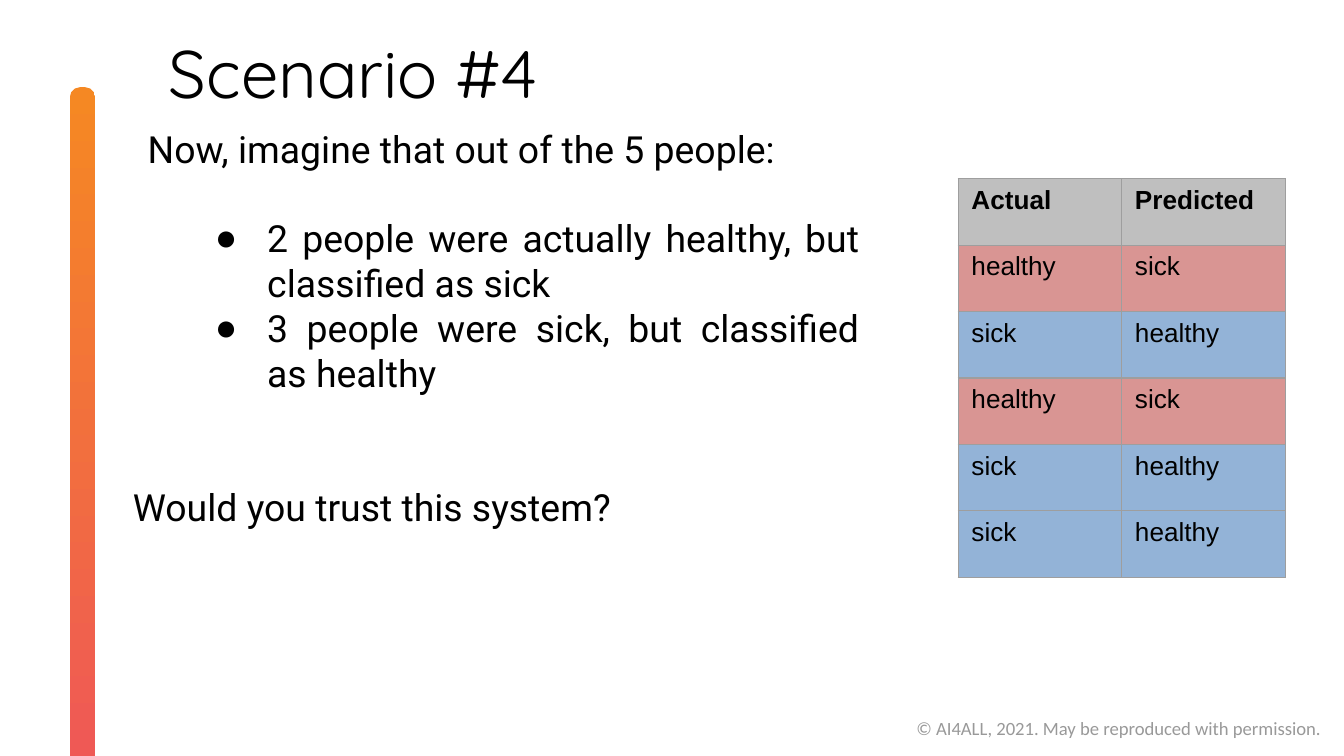
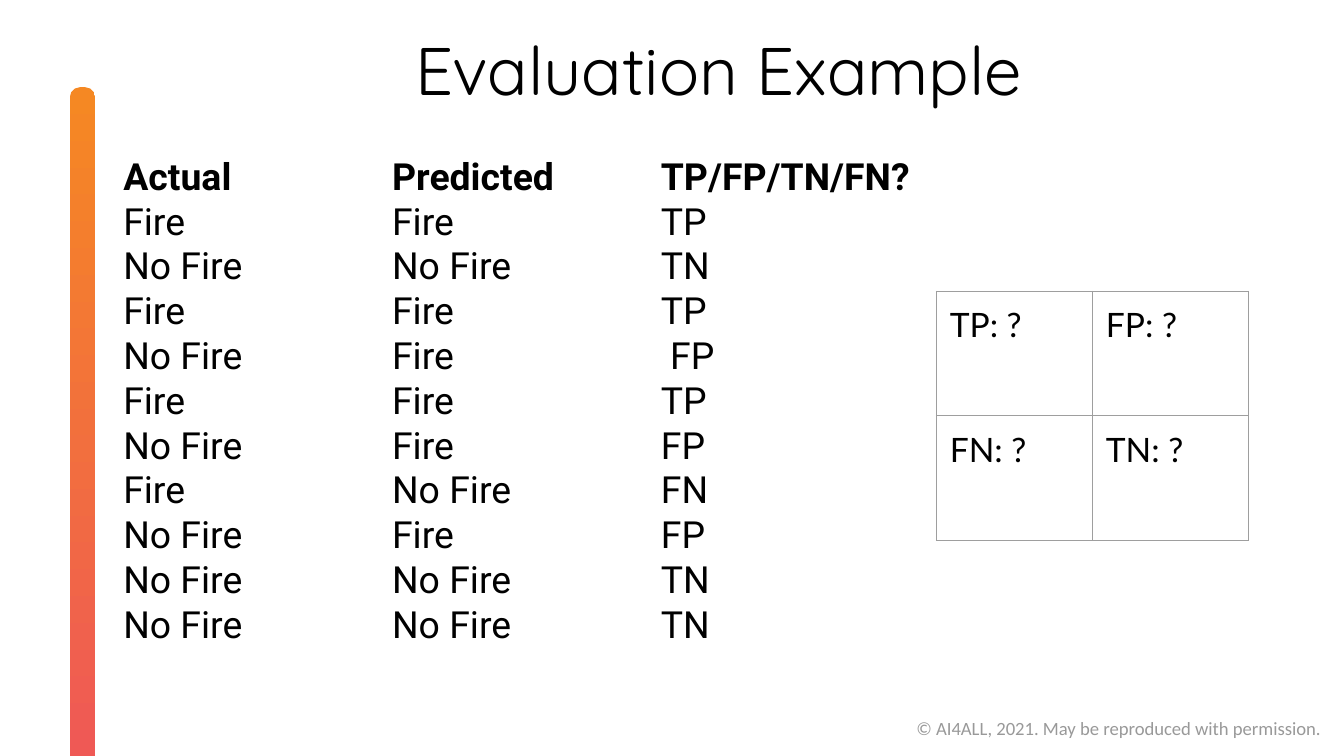
"""Builds two slides on judging a classifier: a scenario and an evaluation example."""
from dataclasses import dataclass

from lxml.etree import SubElement
from pptx import Presentation
from pptx.dml.color import RGBColor
from pptx.enum.shapes import MSO_SHAPE
from pptx.enum.text import MSO_AUTO_SIZE, MSO_ANCHOR, PP_ALIGN
from pptx.oxml import parse_xml
from pptx.oxml.ns import nsdecls, qn
from pptx.util import Cm, Pt

COLOURS = {
    "text": "000000",
    "footer": "999999",
    "band_start": "F58823",
    "band_end": "EF5757",
    "border": "9E9E9E",
    "header": "BFBFBF",
    "healthy": "D99593",
    "sick": "93B3D7",
}


@dataclass(frozen=True)
class Box:
    left: float
    top: float
    width: float
    height: float

    def lengths(self):
        return Cm(self.left), Cm(self.top), Cm(self.width), Cm(self.height)


@dataclass(frozen=True)
class TextStyle:
    font: str
    size: int
    colour: str = "text"


@dataclass(frozen=True)
class Line:
    text: str
    align: PP_ALIGN = PP_ALIGN.LEFT
    margin: float = 0
    indent: float = 0
    before: int = 0
    bullet: str = ""
    level: int = 0
    tab_step: float = 2.54
    bold: bool = False


@dataclass(frozen=True)
class Grid:
    box: Box
    rows: list
    style: TextStyle
    inset: float
    fills: tuple = ()
    header: bool = False


TITLE = TextStyle("Quicksand", 36)
BODY = TextStyle("Roboto", 20)
FOOTER = TextStyle("Calibri", 10, "footer")

SCENARIO_ROWS = [
    ("Actual", "Predicted"),
    ("healthy", "sick"),
    ("sick", "healthy"),
    ("healthy", "sick"),
    ("sick", "healthy"),
    ("sick", "healthy"),
]
EVALUATION_ROWS = [
    ("Actual", "Predicted", "TP/FP/TN/FN?"),
    ("Fire", "Fire", "TP"),
    ("No Fire", "No Fire", "TN"),
    ("Fire", "Fire", "TP"),
    ("No Fire", "Fire", " FP"),
    ("Fire", "Fire", "TP"),
    ("No Fire", "Fire", "FP"),
    ("Fire", "No Fire", "FN"),
    ("No Fire", "Fire", "FP"),
    ("No Fire", "No Fire", "TN"),
    ("No Fire", "No Fire", "TN"),
]


def rgb(name: str) -> RGBColor:
    return RGBColor.from_string(COLOURS[name])


def style_runs(p, style: TextStyle, bold: bool = False) -> None:
    for r in p.runs:
        r.font.name = style.font
        r.font.size = Pt(style.size)
        r.font.bold = bold
        r.font.color.rgb = rgb(style.colour)


def write_line(p, line: Line, style: TextStyle) -> None:
    p.text = line.text
    p.alignment = line.align
    p.level = line.level
    p.line_spacing = 1.0
    p.space_before = Pt(line.before)
    pPr = p._p.get_or_add_pPr()
    pPr.set("marL", str(Cm(line.margin)))
    pPr.set("indent", str(Cm(line.indent)))
    pPr.set("defTabSz", str(Cm(line.tab_step)))
    if line.bullet:
        SubElement(pPr, qn("a:buChar")).set("char", line.bullet)
    else:
        SubElement(pPr, qn("a:buNone"))
    style_runs(p, style, line.bold)


def fill_placeholder(sp, box: Box, lines: list, style: TextStyle) -> None:
    sp.left, sp.top, sp.width, sp.height = box.lengths()
    tf = sp.text_frame
    tf.word_wrap = True
    tf.auto_size = MSO_AUTO_SIZE.NONE
    tf.vertical_anchor = MSO_ANCHOR.TOP
    tf.margin_left = tf.margin_right = tf.margin_top = tf.margin_bottom = 0
    for i, line in enumerate(lines):
        write_line(tf.add_paragraph() if i else tf.paragraphs[0], line, style)


def add_border(tcPr) -> None:
    for i, side in enumerate(("lnL", "lnR", "lnT", "lnB")):
        tcPr.insert(i, parse_xml(
            f'<a:{side} {nsdecls("a")} w="{Pt(0.75)}"><a:solidFill>'
            f'<a:srgbClr val="{COLOURS["border"]}"/></a:solidFill></a:{side}>'))


def add_grid(slide, grid: Grid) -> None:
    n_rows, n_cols = len(grid.rows), len(grid.rows[0])
    table = slide.shapes.add_table(n_rows, n_cols, *grid.box.lengths()).table
    table.first_row = grid.header
    table.horz_banding = False
    for i, row in enumerate(grid.rows):
        for j, text in enumerate(row):
            cell = table.cell(i, j)
            cell.text = text
            cell.margin_left = cell.margin_right = Cm(0.25)
            cell.margin_top = cell.margin_bottom = Cm(grid.inset)
            style_runs(cell.text_frame.paragraphs[0], grid.style, grid.header and i == 0)
            if grid.fills:
                cell.fill.solid()
                cell.fill.fore_color.rgb = rgb(grid.fills[i])
            else:
                cell.fill.background()
            add_border(cell._tc.get_or_add_tcPr())


def add_footer(slide):
    sp = slide.shapes.add_textbox(*Box(17.07, 13.43, 8.23, 0.69).lengths())
    tf = sp.text_frame
    tf.text = "© AI4ALL, 2021. May be reproduced with permission."
    style_runs(tf.paragraphs[0], FOOTER)
    return sp


def add_band(slide):
    sp = slide.shapes.add_shape(
        MSO_SHAPE.ROUNDED_RECTANGLE, *Box(-5.02, 7.99, 13.16, 0.48).lengths())
    sp.rotation = 90
    sp.adjustments[0] = 0.39
    sp.shadow.inherit = False
    sp.line.fill.background()
    sp.fill.gradient()
    sp.fill.gradient_angle = 0
    for stop, name in zip(sp.fill.gradient_stops, ("band_start", "band_end")):
        stop.color.rgb = rgb(name)
    return sp


def share_on_layout(slide) -> None:
    for sp in (add_footer(slide), add_band(slide)):
        slide.slide_layout.shapes._spTree.append(sp._element)


def build_scenario(slide) -> None:
    justify = PP_ALIGN.JUSTIFY
    bullet = dict(align=justify, margin=2.54, indent=-0.99, bullet="●", level=1)
    fill_placeholder(slide.shapes.title, Box(3.19, 0.59, 20.4, 1.8),
                     [Line("Scenario #4")], TITLE)
    fill_placeholder(slide.placeholders[1], Box(2.51, 2.38, 13.74, 9.73), [
        Line("Now, imagine that out of the 5 people:", justify, margin=0.28),
        Line("2 people were actually healthy, but classified as sick", before=24, **bullet),
        Line("3 people were sick, but classified as healthy", **bullet),
        Line("Would you trust this system?", justify, before=48),
    ], BODY)
    fills = ("header", *(actual for actual, _ in SCENARIO_ROWS[1:]))
    add_grid(slide, Grid(Box(18.11, 3.38, 6.18, 7.53), SCENARIO_ROWS,
                         TextStyle("Arial", 14), 0.13, fills, header=True))


def build_evaluation(slide) -> None:
    fill_placeholder(slide.shapes.title, Box(3.38, 0.53, 20.4, 1.02),
                     [Line("Evaluation Example", PP_ALIGN.CENTER)], TITLE)
    lines = [Line("\t".join(row), tab_step=5.08, bold=i == 0)
             for i, row in enumerate(EVALUATION_ROWS)]
    fill_placeholder(slide.placeholders[1], Box(2.33, 2.89, 15.37, 9.93), lines, BODY)
    add_grid(slide, Grid(Box(17.7, 5.51, 5.9, 4.7),
                         [("TP: ?", "FP: ?"), ("FN: ?", "TN: ?")],
                         TextStyle("Lato", 18), 0.25))


def main() -> None:
    prs = Presentation()
    prs.slide_width, prs.slide_height = Cm(25.4), Cm(14.29)
    layout = prs.slide_layouts[1]
    scenario, evaluation = (prs.slides.add_slide(layout) for _ in range(2))
    share_on_layout(scenario)
    build_scenario(scenario)
    build_evaluation(evaluation)
    prs.save("out.pptx")


if __name__ == "__main__":
    main()
